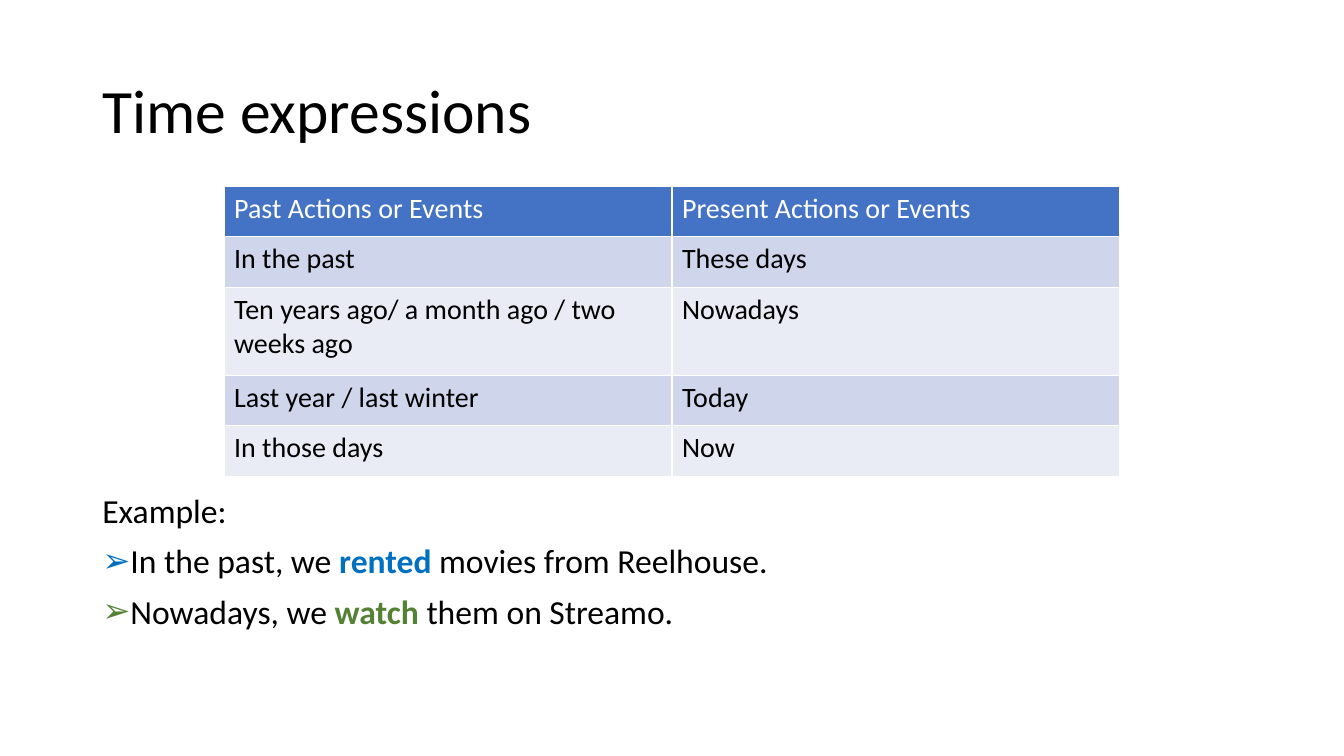
from dataclasses import dataclass

from lxml import etree
from pptx import Presentation, util as u
from pptx.dml import color
from pptx.enum import text
from pptx.oxml import ns

HUES = {
    "ink": "000000", "white": "FFFFFF", "head": "4472C4",
    "dark": "CFD5EA", "light": "E9EBF5", "past": "0070C0", "now": "548235",
}
FONT = "Calibri"
WIDE, HIGH = u.Inches(13.333), u.Inches(7.5)
COLS, ROWS = 160, 90  # slide grid


@dataclass
class Box:
    left: float
    top: float
    width: float
    height: float


@dataclass
class Line:
    start: str
    verb: str = ""
    end: str = ""
    hue: str = "ink"


TITLE = Box(11, 4.8, 138, 17.4)
BODY = Box(11, 58.3, 138, 19.2)
TABLE = Box(26.67, 22.2, 106.67, 34.5)
TALL, SHORT = 10.5, 6

TIMES = [
    ("Past Actions or Events", "Present Actions or Events"),
    ("In the past", "These days"),
    ("Ten years ago/ a month ago / two weeks ago", "Nowadays"),
    ("Last year / last winter", "Today"),
    ("In those days", "Now"),
]
LINES = [
    Line("Example:"),
    Line("In the past, we ", "rented ", "movies from Reelhouse.", "past"),
    Line("Nowadays, we ", "watch ", "them on Streamo.", "now"),
]


def across(n: float) -> int:
    return round(WIDE * n / COLS)


def down(n: float) -> int:
    return round(HIGH * n / ROWS)


def place(box: Box) -> tuple:
    return across(box.left), down(box.top), across(box.width), down(box.height)


def tint(hue: str) -> color.RGBColor:
    return color.RGBColor.from_string(HUES[hue])


def add(node, tag: str, **attrs: str):
    return etree.SubElement(node, ns.qn(tag), attrs)


def write(para, words: str, size: int = 24, hue: str = "ink", bold: bool = False) -> None:
    run = para.add_run()
    run.text = words
    run.font.name, run.font.size, run.font.bold = FONT, u.Pt(size), bold
    run.font.color.rgb = tint(hue)


def frame(slide, box: Box, anchor):
    area = slide.shapes.add_textbox(*place(box)).text_frame
    area.word_wrap = True
    area.vertical_anchor = anchor
    return area


def bullet(para, hue: str) -> None:
    props = para._p.get_or_add_pPr()
    step = u.Inches(0.25)
    props.set("marL", str(step))
    props.set("indent", str(-step))
    add(add(props, "a:buClr"), "a:srgbClr", val=HUES[hue])
    add(props, "a:buFont", typeface=FONT)
    add(props, "a:buChar", char="➢")


def border(cell) -> None:
    props = cell._tc.get_or_add_tcPr()
    for side in "LRTB":
        edge = add(props, f"a:ln{side}", w=str(u.Pt(1)))
        add(add(edge, "a:solidFill"), "a:srgbClr", val=HUES["white"])


def grid(slide) -> None:
    table = slide.shapes.add_table(len(TIMES), len(TIMES[0]), *place(TABLE)).table
    for col in table.columns:
        col.width = across(TABLE.width / len(TIMES[0]))
    for r, row in enumerate(TIMES):
        table.rows[r].height = down(TALL if r == 2 else SHORT)
        fill = "head" if r == 0 else ("light", "dark")[r % 2]
        for c, words in enumerate(row):
            cell = table.cell(r, c)
            border(cell)
            cell.fill.solid()
            cell.fill.fore_color.rgb = tint(fill)
            write(cell.text_frame.paragraphs[0], words, size=20,
                  hue="ink" if r else "white")


def main() -> None:
    deck = Presentation()
    deck.slide_width, deck.slide_height = WIDE, HIGH
    slide = deck.slides.add_slide(deck.slide_layouts[6])

    # Title
    head = frame(slide, TITLE, text.MSO_ANCHOR.MIDDLE).paragraphs[0]
    head.line_spacing = 0.9
    write(head, "Time expressions", size=44)

    # Examples
    body = frame(slide, BODY, text.MSO_ANCHOR.TOP)
    for i, line in enumerate(LINES):
        para = body.add_paragraph() if i else body.paragraphs[0]
        para.line_spacing, para.space_before = 0.9, u.Pt(10)
        write(para, line.start)
        if line.verb:
            bullet(para, line.hue)
            write(para, line.verb, hue=line.hue, bold=True)
            write(para, line.end)

    # Table of time expressions
    grid(slide)
    deck.save("out.pptx")


if __name__ == "__main__":
    main()
